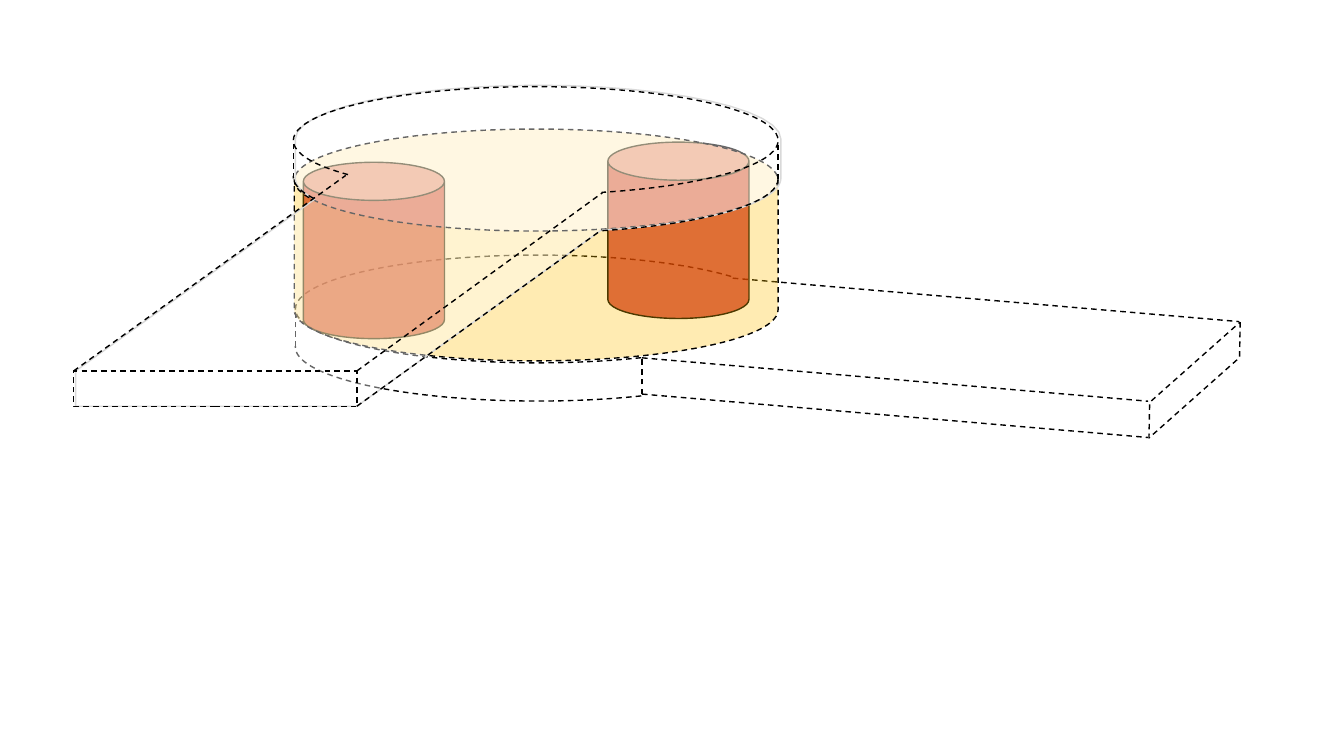
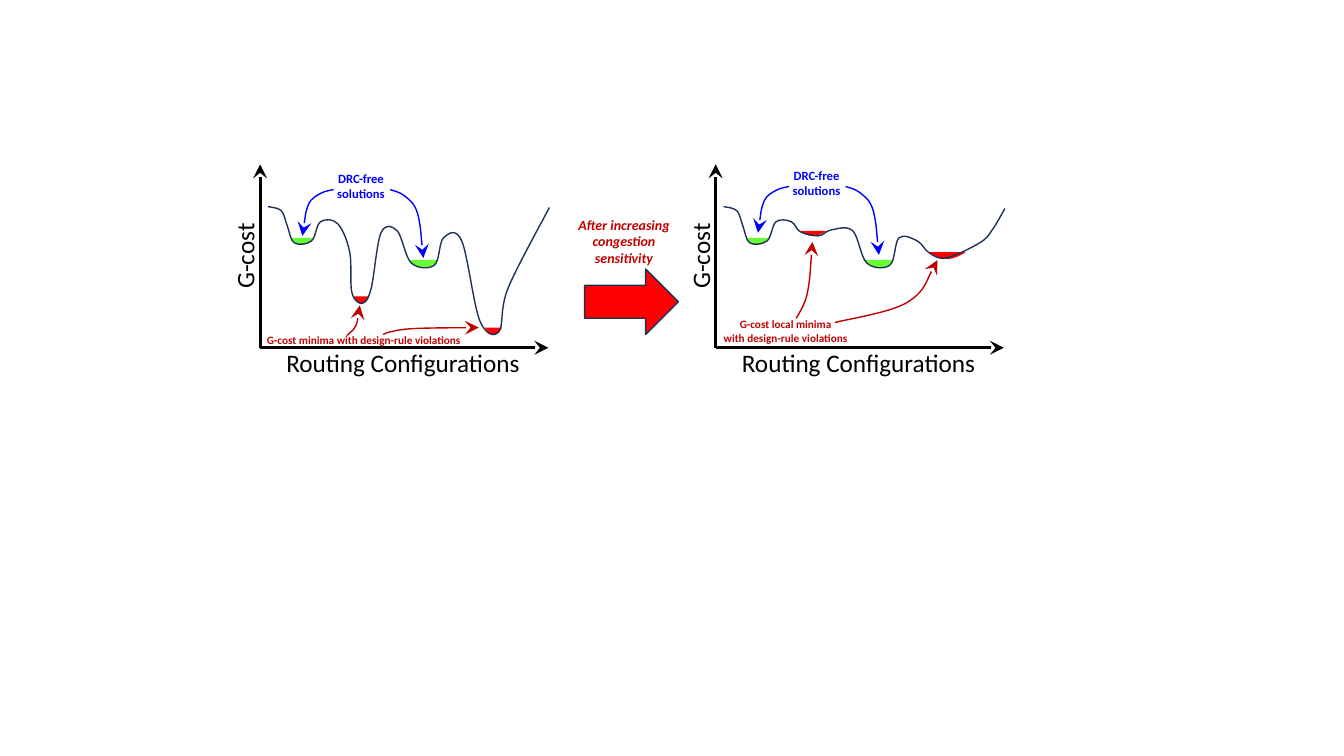
from dataclasses import dataclass
from math import cos, radians, sin

from lxml.etree import Element, SubElement
from pptx import Presentation
from pptx.dml.color import RGBColor
from pptx.enum.dml import MSO_LINE
from pptx.enum.shapes import MSO_CONNECTOR, MSO_SHAPE
from pptx.enum.text import MSO_ANCHOR, MSO_AUTO_SIZE, PP_ALIGN
from pptx.oxml.ns import qn
from pptx.util import Pt

BLACK, RED, DARK_RED = "000000", "FF0000", "C00000"
GREEN, BLUE, NAVY = "66FF33", "0000FF", "1E3256"
AMBER, WHITE, GREY = "FFC000", "FFFFFF", "D9D9D9"
FONT = "Calibri"


def rgb(value):
    return RGBColor.from_string(value)


def smooth(knots):
    """Return Bézier points of a Catmull-Rom curve through the knots.

    The tangent at each knot runs parallel to the line joining its neighbours.
    """
    padded = [knots[0], *knots, knots[-1]]
    pts = [knots[0]]
    for before, start, end, after in zip(padded, padded[1:], padded[2:], padded[3:]):
        pts.append(tuple(s + (e - b) / 6 for b, s, e in zip(before, start, end)))
        pts.append(tuple(e - (a - s) / 6 for s, e, a in zip(start, end, after)))
        pts.append(end)
    return pts


def ellipse_points(center, radii, start, end, steps=24):
    """Sample an ellipse clockwise from start to end, in degrees."""
    (cx, cy), (rx, ry) = center, radii
    angles = [radians(start + (end - start) * i / steps) for i in range(steps + 1)]
    return [(cx + rx * cos(a), cy + ry * sin(a)) for a in angles]


class Deck:
    def __init__(self):
        self.prs = Presentation()
        self.prs.slide_width, self.prs.slide_height = Pt(960), Pt(540)

    def new_slide(self):
        self.slide = self.prs.slides.add_slide(self.prs.slide_layouts[6])
        self.shapes = self.slide.shapes

    def start_group(self):
        self.shapes = self.slide.shapes.add_group_shape().shapes

    def end_group(self):
        self.shapes = self.slide.shapes

    def outline(self, sp, color, width=1, dash=False, arrow=False):
        if color is None:
            sp.line.fill.background()
            return
        sp.line.color.rgb = rgb(color)
        sp.line.width = Pt(width)
        if dash:
            sp.line.dash_style = MSO_LINE.DASH
        if arrow:
            ln = sp.element.spPr.find(qn("a:ln"))
            SubElement(ln, qn("a:tailEnd"), type="stealth", w="lg", len="lg")

    def style(self, sp, fill=None, opacity=100, line=None, **line_format):
        sp.shadow.inherit = False
        if fill is None:
            sp.fill.background()
        else:
            sp.fill.solid()
            sp.fill.fore_color.rgb = rgb(fill)
            if opacity < 100:
                clr = sp.element.spPr.find(qn("a:solidFill"))[0]
                SubElement(clr, qn("a:alpha"), val=str(opacity * 1000))
        self.outline(sp, line, **line_format)

    def shape(self, kind, box, adj=(), rotation=0, **fmt):
        sp = self.shapes.add_shape(kind, *map(Pt, box))
        for i, value in enumerate(adj):
            sp.adjustments[i] = value
        sp.rotation = rotation
        self.style(sp, **fmt)

    def line(self, start, end, **fmt):
        cx = self.shapes.add_connector(
            MSO_CONNECTOR.STRAIGHT, *map(Pt, (*start, *end)))
        self.outline(cx, BLACK, **fmt)
        SubElement(cx.element.spPr, qn("a:effectLst"))

    def freeform(self, pts, closed=False):
        pts = [(Pt(x), Pt(y)) for x, y in pts]
        fb = self.shapes.build_freeform(*pts[0])
        fb.add_line_segments(pts[1:], close=closed)
        return fb.convert_to_shape()

    def polygon(self, pts, **fmt):
        self.style(self.freeform(pts, closed=True), **fmt)

    def curve(self, pts, closed=False, **fmt):
        """Draw cubic Béziers: a start, then two controls and an end each."""
        sp = self.freeform(pts, closed)
        steps = list(sp.element.spPr.iter(qn("a:lnTo")))
        for i in range(0, len(steps), 3):
            bezier = Element(qn("a:cubicBezTo"))
            steps[i].addprevious(bezier)
            for step in steps[i:i + 3]:
                bezier.append(step[0])
                step.getparent().remove(step)
        self.style(sp, **fmt)

    def text(self, box, lines, size, color=BLACK, align=PP_ALIGN.CENTER,
             rotation=0, **font):
        sp = self.shapes.add_textbox(*map(Pt, box))
        sp.rotation = rotation
        tf = sp.text_frame
        frame = {"word_wrap": False, "auto_size": MSO_AUTO_SIZE.SHAPE_TO_FIT_TEXT,
                 "vertical_anchor": MSO_ANCHOR.MIDDLE, "margin_left": 0,
                 "margin_top": 0, "margin_right": 0, "margin_bottom": 0}
        for name, value in frame.items():
            setattr(tf, name, value)
        for i, line in enumerate(lines):
            p = tf.add_paragraph() if i else tf.paragraphs[0]
            p.alignment = align
            r = p.add_run()
            r.text = line
            for name, value in {"name": FONT, "size": Pt(size), **font}.items():
                setattr(r.font, name, value)
            r.font.color.rgb = rgb(color)


# Slide 1: a tank between two flat arms
RIM_W, RIM_H = 346.3, 77
LID_X, BASE_X = 209.5, 211
LID_TOP, LID_BOTTOM = 61.9, 89.3
BASE_TOP, BASE_BOTTOM = 182.2, 209.5
RIGHT_ARM = (361.5, 31)     # run of each long edge of the right arm
ARM_LEFT, ARM_RIGHT, ARM_TOP, ARM_DEPTH = 52.6, 254.9, 265, 25.2


def dashed_arcs(deck, x, arcs):
    """Draw rim arcs, each given as top, start and end adjustment."""
    for top, start, end in arcs:
        deck.shape(MSO_SHAPE.ARC, (x, top, RIM_W, RIM_H), (start, end),
                   line=BLACK, dash=True)


def dashed_lines(deck, ends):
    for start, end in ends:
        deck.line(start, end, dash=True)


def base_and_right_arm(deck):
    deck.start_group()
    dashed_arcs(deck, BASE_X, [(BASE_TOP, 15.14, 210.35),
                               (BASE_BOTTOM, 15.14, 108.16)])
    back, front, under = (523.4, 198.7), (458.6, 255.6), (458.6, 281.5)
    run, drop = RIGHT_ARM
    dashed_lines(deck, [((x, y), (x + run, y + drop))
                        for x, y in (back, front, under)])
    dashed_lines(deck, [((BASE_X, 247.7), (BASE_X, 221.8)), (under, front)])
    deck.shape(MSO_SHAPE.PARALLELOGRAM, (801.4, 262.1, 103.7, 18.7), [0.92],
               rotation=138.4, line=BLACK, dash=True)
    deck.end_group()


def lid_sheet(deck):
    """Cover the lid and left arm with one translucent outline."""
    cx, radii = 384.4, (173.4, RIM_H / 2)
    upper, lower = (cx, 99.4), (cx, 127.3)
    left, bottom = 54, ARM_TOP + ARM_DEPTH
    deck.polygon([(left, bottom), (left, ARM_TOP),
                  *ellipse_points(lower, radii, 157, 180),
                  *ellipse_points(upper, radii, 180, 360),
                  *ellipse_points(lower, radii, 0, 75),
                  (ARM_RIGHT, bottom)],
                 fill=WHITE, opacity=40, line=GREY)


def lid_and_left_arm(deck):
    deck.start_group()
    deck.shape(MSO_SHAPE.RECTANGLE,
               (ARM_LEFT, ARM_TOP, ARM_RIGHT - ARM_LEFT, ARM_DEPTH),
               line=BLACK, dash=True)
    lid_right = LID_X + RIM_W
    dashed_lines(deck, [
        ((ARM_LEFT, ARM_TOP), (247, 125.3)),
        ((ARM_RIGHT, ARM_TOP), (430.6, 137.5)),
        ((ARM_RIGHT, ARM_TOP + ARM_DEPTH), (429.8, 164.2)),
        ((lid_right, 128.2), (lid_right, 102.2)),
        ((LID_X, 127.4), (LID_X, 101.5))])
    dashed_arcs(deck, LID_X, [(LID_TOP, 101.82, 22.93),
                              (LID_BOTTOM, 215.98, 22.93),
                              (LID_BOTTOM - 1.5, 104.68, 108.11)])
    deck.end_group()


def tank_slide(deck):
    deck.new_slide()
    base_and_right_arm(deck)
    for x, y in [(434.2, 101.5), (216.7, 115.9)]:
        deck.shape(MSO_SHAPE.CAN, (x, y, 100.8, 126), [0.27],
                   fill=DARK_RED, opacity=70, line=BLACK)
    deck.shape(MSO_SHAPE.CAN, (210.2, 92.2, 345.6, 165.6), [0.44],
               fill=AMBER, opacity=30, line=BLACK, dash=True)
    lid_sheet(deck)
    lid_and_left_arm(deck)


# Slide 2: points are (distance right, height) from the origin of the axes;
# pools are (left, right, height of the surface, depth).
ORIGIN_Y, AXIS_W, AXIS_H = 248.4, 205.9, 131
FIRST_GREEN_DIP = [(5.7, 100.8), (15.1, 97.9), (19.4, 87.1), (24.4, 74.9),
                   (36.7, 76.3), (43.2, 90)]
SECOND_GREEN_DIP = [(97.9, 83.5), (108, 60.5), (124.5, 59), (131, 78.5),
                    (144, 76.3)]
GREEN_POOLS = [(21.6, 38.1, 78.5, 5.1), (106.5, 127.4, 62.6, 5.7)]
BLUE_ARROWS = [[(92.8, 113), (102.9, 108.7), (112.3, 96.5), (116.6, 64.1)],
               [(52.5, 113), (43.2, 110.2), (34.5, 102.2), (30.2, 79.9)]]


@dataclass
class CostPlot:
    origin_x: float
    blue_lift: float
    first_red_dip: list
    second_red_dip: list
    red_pools: list
    red_arrows: list
    note: list
    note_box: tuple

    def at(self, x, height):
        return self.origin_x + x, ORIGIN_Y - height

    def box(self, x, height, w, h):
        return (*self.at(x, height), w, h)

    def draw_curve(self, deck, knots, lift=0, **fmt):
        deck.curve(smooth([self.at(x, h + lift) for x, h in knots]), **fmt)

    def draw_pools(self, deck, pools, color):
        for left, right, top, depth in pools:
            inset, low = 0.35 * (right - left), top - depth * 4 / 3
            bowl = [(left, top), (left + inset, low), (right - inset, low), (right, top)]
            deck.curve([self.at(*pt) for pt in bowl], closed=True, fill=color)

    def draw(self, deck):
        self.draw_pools(deck, self.red_pools, RED)
        self.draw_pools(deck, GREEN_POOLS, GREEN)
        for end in [(0, AXIS_H), (AXIS_W, 0)]:
            deck.line(self.at(0, 0), self.at(*end), width=2, arrow=True)
        deck.text(self.box(-34.6, 76.3, 46.8, 21.6), ["G-cost"], 18,
                  align=PP_ALIGN.LEFT, rotation=270)
        deck.text(self.box(18.7, 0, 169.2, 21.6), ["Routing Configurations"], 18,
                  align=PP_ALIGN.LEFT)
        self.draw_curve(deck, FIRST_GREEN_DIP + self.first_red_dip
                        + SECOND_GREEN_DIP + self.second_red_dip, line=NAVY)
        deck.text(self.box(54.7, 126.4 + self.blue_lift, 34.6, 21.6),
                  ["DRC-free", "solutions"], 9, BLUE, bold=True)
        for knots in BLUE_ARROWS:
            self.draw_curve(deck, knots, self.blue_lift, line=BLUE, arrow=True)
        deck.text(self.box(*self.note_box), self.note, 8, DARK_RED, bold=True)
        for knots in self.red_arrows:
            self.draw_curve(deck, knots, line=DARK_RED, arrow=True)


BEFORE = CostPlot(
    origin_x=185.8, blue_lift=0,
    first_red_dip=[(55.4, 88.6), (64, 68.4), (65.5, 39.6), (72.7, 31.7),
                   (79.2, 41.8), (86.4, 82.1)],
    second_red_dip=[(156.9, 19.4), (170.6, 11.5), (177.1, 42.5), (206.6, 100.1)],
    red_pools=[(66.9, 77.7, 36.7, 5), (160.5, 172.8, 14.4, 5.4)],
    red_arrows=[[(61.9, 8.6), (68.4, 15.8), (71.2, 30.2)],
                [(87.8, 9.4), (93.6, 11.5), (110.8, 13.7), (156.2, 14.4)]],
    note=["G-cost minima with design-rule violations"],
    note_box=(4.3, 10.4, 139.7, 9.4))
AFTER = CostPlot(
    origin_x=511.2, blue_lift=2.2,
    first_red_dip=[(54, 90), (60.5, 82.8), (73.4, 79.9), (82.8, 84.2)],
    second_red_dip=[(152.6, 67.7), (164.9, 64.1), (188.6, 74.9), (197.4, 83.9),
                    (206.6, 99.4)],
    red_pools=[(59.8, 79.2, 83.5, 3.6), (151.9, 178.6, 68.4, 5)],
    red_arrows=[[(57.6, 20.9), (65.5, 38.9), (69.1, 75.6)],
                [(85, 18), (136.8, 32.4), (158.4, 62.6)]],
    note=["G-cost local minima", "with design-rule violations"],
    note_box=(5.4, 21.6, 89.3, 19.4))


def cost_slide(deck):
    deck.new_slide()
    for plot in (BEFORE, AFTER):
        plot.draw(deck)
    deck.shape(MSO_SHAPE.RIGHT_ARROW, (417.6, 192.2, 67, 46.8), fill=RED, line=NAVY)
    deck.text((412.6, 154.4, 66.2, 36),
              ["After increasing", "congestion", "sensitivity"],
              10, DARK_RED, bold=True, italic=True)


def main():
    deck = Deck()
    tank_slide(deck)
    cost_slide(deck)
    deck.prs.save("out.pptx")


if __name__ == "__main__":
    main()
